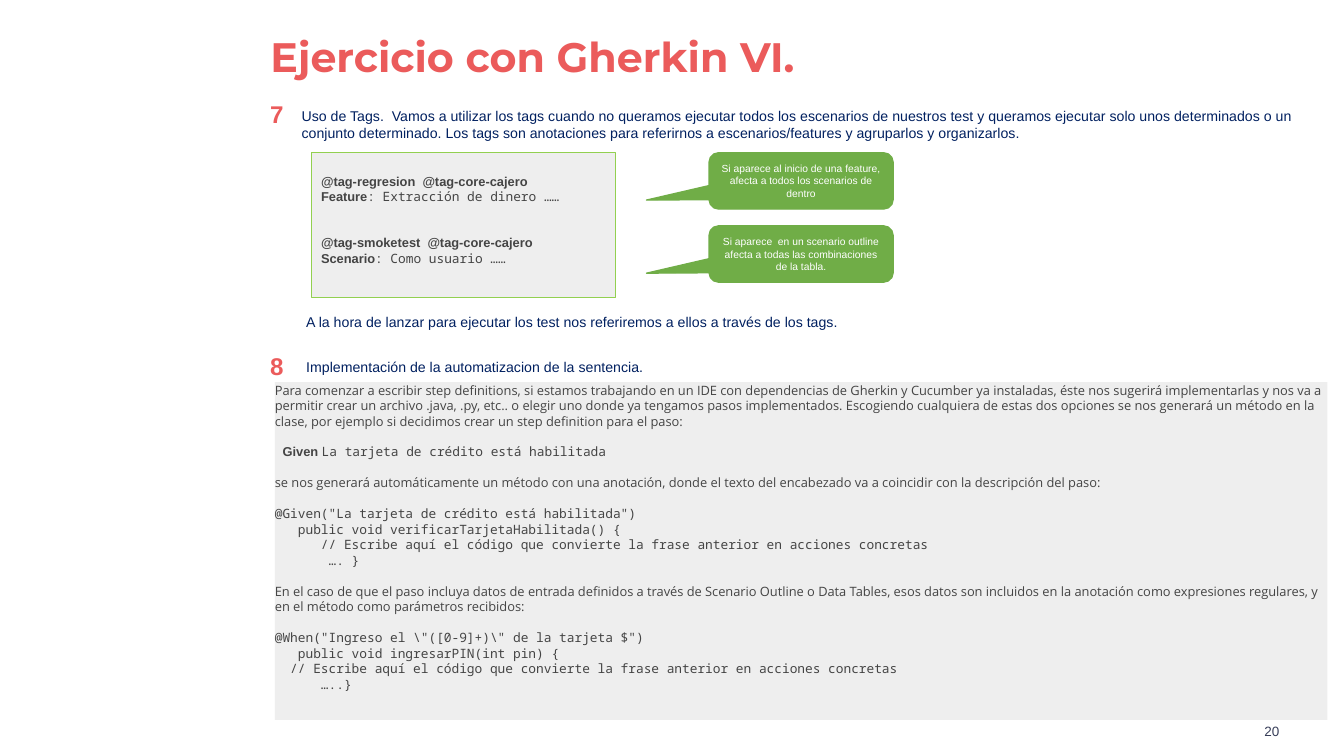
from dataclasses import dataclass

from pptx import Presentation
from pptx.dml.color import RGBColor
from pptx.enum.shapes import MSO_SHAPE as Shape
from pptx.enum.text import MSO_ANCHOR as Anchor, MSO_AUTO_SIZE as AutoSize, PP_ALIGN as Align
from pptx.util import Pt


@dataclass(frozen=True)
class Theme:
    coral: str = "EB5B5B"
    navy: str = "002060"
    slate: str = "363D58"
    ink: str = "444444"
    panel: str = "EEEEEE"
    lime: str = "92D050"
    green: str = "70AD47"
    white: str = "FFFFFF"
    sans: str = "Arial"
    heading: str = "Montserrat"
    prose: str = "Open Sans"
    mono: str = "Noto Sans Mono"
    title_size: float = 32
    step_size: float = 18.8
    body_size: float = 11
    number_size: float = 10.5
    code_size: float = 10
    callout_size: float = 8
    code_pitch: float = 12.05


THEME = Theme()
LEFT = 203.04
MARGINS = (7.2, 3.6, 7.2, 3.6)

TAG_LINES = [
    # (runs as (text, font, bold), space before)
    ([("@tag-regresion  @tag-core-cajero", THEME.sans, True)], 0),
    ([("Feature", THEME.sans, True),
      (": Extracción de dinero ……", THEME.mono, False)], 0),
    ([("@tag-smoketest  @tag-core-cajero", THEME.sans, True)], 24),
    ([("Scenario", THEME.sans, True),
      (": Como usuario ……", THEME.mono, False)], 0),
]

STEP_INTRO = (
    "Para comenzar a escribir step definitions, si estamos trabajando en un IDE con "
    "dependencias de Gherkin y Cucumber ya instaladas, éste nos sugerirá implementarlas y "
    "nos va a permitir crear un archivo .java, .py, etc.. o elegir uno donde ya tengamos "
    "pasos implementados. Escogiendo cualquiera de estas dos opciones se nos generará un "
    "método en la clase, por ejemplo si decidimos crear un step definition para el paso:")
ANNOTATION_NOTE = (
    "se nos generará automáticamente un método con una anotación, donde el texto del "
    "encabezado va a coincidir con la descripción del paso:")
GIVEN_CODE = [
    '@Given("La tarjeta de crédito está habilitada")',
    "   public void verificarTarjetaHabilitada() {",
    "      // Escribe aquí el código que convierte la frase anterior en acciones concretas",
    "       …. }",
]
PARAMETER_NOTE = (
    "En el caso de que el paso incluya datos de entrada definidos a través de Scenario "
    "Outline o Data Tables, esos datos son incluidos en la anotación como expresiones "
    "regulares, y en el método como parámetros recibidos:")
WHEN_CODE = [
    r'@When("Ingreso el \"([0-9]+)\" de la tarjeta $")',
    "   public void ingresarPIN(int pin) {",
    "  // Escribe aquí el código que convierte la frase anterior en acciones concretas",
    "      …..}",
]


def style(font, size, color, name=None, bold=None):
    font.size = Pt(size)
    font.color.rgb = RGBColor.from_string(color)
    font.name = name
    font.bold = bold


def set_frame(frame, margins=MARGINS, anchor=Anchor.TOP):
    frame.word_wrap = True
    frame.auto_size = AutoSize.NONE
    frame.vertical_anchor = anchor
    (frame.margin_left, frame.margin_top,
     frame.margin_right, frame.margin_bottom) = map(Pt, margins)


def add_label(slide, box, text, size=THEME.body_size, color=THEME.navy, bold=False,
              align=Align.LEFT):
    frame = slide.shapes.add_textbox(*map(Pt, box)).text_frame
    set_frame(frame)
    label = frame.paragraphs[0]
    label.text = text
    label.alignment = align
    style(label.font, size, color, THEME.sans, bold)


def add_step(slide, number, top, text, text_box):
    add_label(slide, (LEFT, top, 27.36, 30.24), number, THEME.step_size, THEME.coral, True)
    add_label(slide, text_box, text)


def add_filled(slide, kind, box, fill, line=None, line_width=1.0):
    shape = slide.shapes.add_shape(kind, *map(Pt, box))
    shape.shadow.inherit = False
    shape.fill.solid()
    shape.fill.fore_color.rgb = RGBColor.from_string(fill)
    if line:
        shape.line.color.rgb = RGBColor.from_string(line)
        shape.line.width = Pt(line_width)
    else:
        shape.line.fill.background()
    return shape


def add_callout(slide, top, text):
    callout = add_filled(slide, Shape.ROUNDED_RECTANGULAR_CALLOUT,
                         (551.52, top, 143.28, 43.92), THEME.green, THEME.green)
    for index, value in enumerate((-0.84, 0.34, 0.17)):
        callout.adjustments[index] = value
    set_frame(callout.text_frame, anchor=Anchor.MIDDLE)
    message = callout.text_frame.paragraphs[0]
    message.text = text
    message.alignment = Align.CENTER
    style(message.font, THEME.callout_size, THEME.white, THEME.sans)


def add_panel(slide, box, margins, lines, line=None):
    """Grey panel; each line is (runs, space before), each run (text, font, bold)."""
    panel = add_filled(slide, Shape.RECTANGLE, box, THEME.panel, line, 0.75)
    frame = panel.text_frame
    set_frame(frame, margins)
    for index, (runs, gap) in enumerate(lines):
        paragraph = frame.add_paragraph() if index else frame.paragraphs[0]
        paragraph.alignment = Align.LEFT
        paragraph.line_spacing = Pt(THEME.code_pitch)
        if gap:
            paragraph.space_before = Pt(gap)
        if len(runs) == 1:
            paragraph.text, name, bold = runs[0]
            style(paragraph.font, THEME.code_size, THEME.ink, name, bold)
            continue
        style(paragraph.font, THEME.code_size, THEME.ink)
        for text, name, bold in runs:
            run = paragraph.add_run()
            run.text = text
            run.font.name = name
            run.font.bold = bold
    return panel


def block(texts, font, gap=THEME.code_pitch):
    """Lines of one font, with a gap before the first only."""
    return [([(text, font, False)], 0 if index else gap) for index, text in enumerate(texts)]


def add_title(slide, text):
    title = slide.shapes.title
    title.left, title.top, title.width, title.height = map(Pt, (LEFT, 25.2, 818.64, 47.52))
    set_frame(title.text_frame)
    heading = title.text_frame.paragraphs[0]
    heading.text = text
    heading.alignment = Align.LEFT
    heading.line_spacing = 0.9
    style(heading.font, THEME.title_size, THEME.coral, THEME.heading, True)


def main():
    deck = Presentation()
    deck.slide_width, deck.slide_height = Pt(1045.44), Pt(588.24)
    slide = deck.slides.add_slide(deck.slide_layouts[5])

    add_title(slide, "Ejercicio con Gherkin VI.")
    add_step(slide, "7", 73.44,
             "Uso de Tags.  Vamos a utilizar los tags cuando no queramos ejecutar todos los "
             "escenarios de nuestros test y queramos ejecutar solo unos determinados o un "
             "conjunto determinado. Los tags son anotaciones para referirnos a "
             "escenarios/features y agruparlos y organizarlos.",
             (227.52, 79.92, 794.16, 33.84))
    add_panel(slide, (242.64, 118.8, 236.16, 113.04), (7.2, 16, 7.2, 0), TAG_LINES, THEME.lime)
    add_callout(slide, 118.8, "Si aparece al inicio de una feature, afecta a todos los "
                              "scenarios de dentro")
    add_callout(slide, 175.68, "Si aparece  en un scenario outline afecta a todas las "
                               "combinaciones de la tabla.")
    add_label(slide, (231.12, 240.48, 471.6, 20.88),
              "A la hora de lanzar para ejecutar los test nos referiremos a ellos a través "
              "de los tags.")

    add_step(slide, "8", 270, "Implementación de la automatizacion de la sentencia.",
             (231.12, 275.04, 573.84, 20.88))
    given_step = [("Given ", THEME.sans, True),
                  ("La tarjeta de crédito está habilitada", THEME.mono, False)]
    explanation = add_panel(
        slide, (213.84, 297.36, 818.64, 262.8), (0, 0, 0, 20.16),
        block([STEP_INTRO], THEME.prose, 0)
        + [(given_step, THEME.code_pitch)]
        + block([ANNOTATION_NOTE], THEME.prose)
        + block(GIVEN_CODE, THEME.mono)
        + block([PARAMETER_NOTE], THEME.prose)
        + block(WHEN_CODE, THEME.mono))
    given_line = explanation.text_frame.paragraphs[1]
    given_line._p.get_or_add_pPr().set("marL", str(Pt(6)))

    add_label(slide, (855.36, 558.72, 146.88, 20.16), "20", THEME.number_size, THEME.slate,
              align=Align.RIGHT)
    deck.save("out.pptx")


if __name__ == "__main__":
    main()
